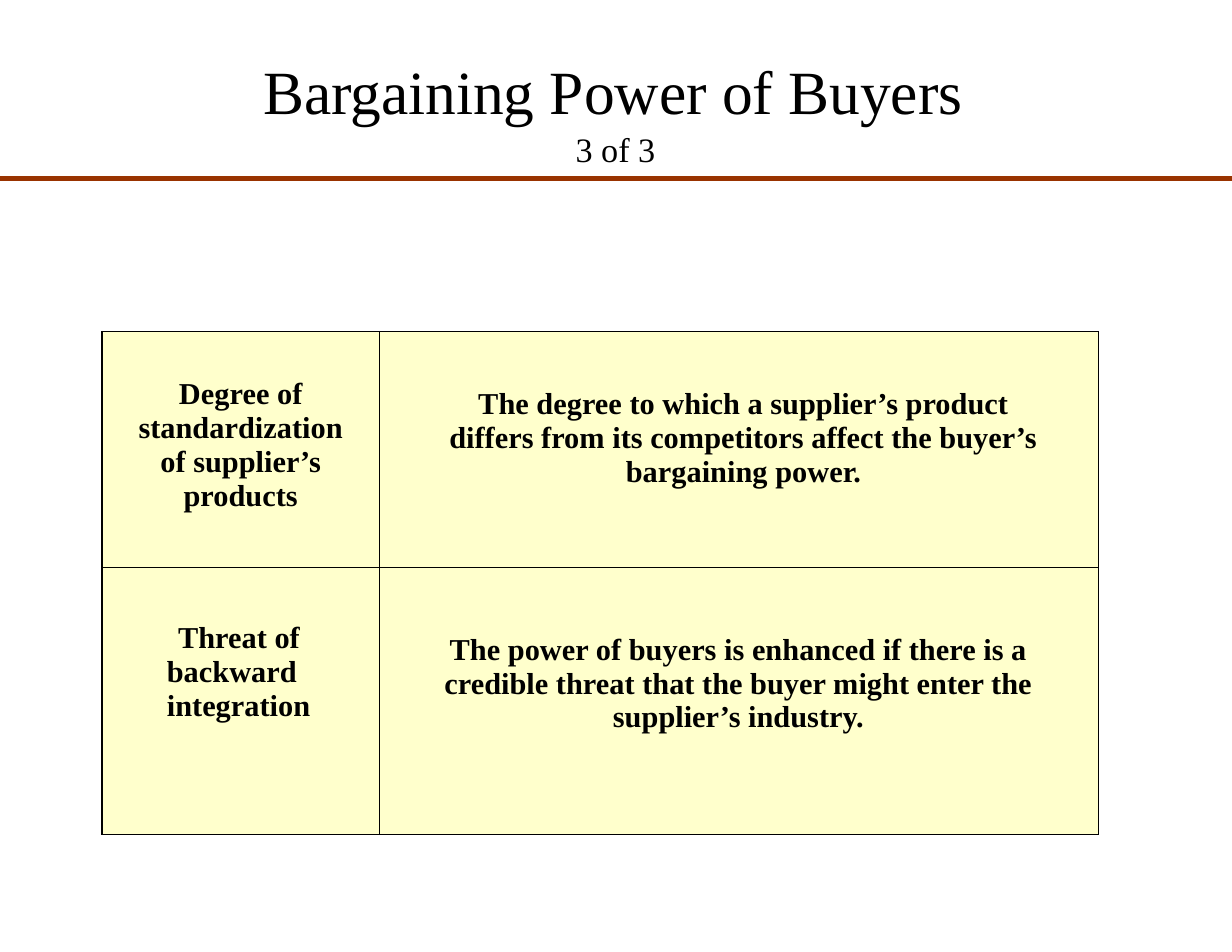
from pptx import Presentation
from pptx.dml.color import RGBColor
from pptx.enum.shapes import MSO_CONNECTOR
from pptx.enum.text import MSO_ANCHOR, PP_ALIGN
from pptx.oxml.ns import qn
from pptx.util import Inches, Pt
from lxml import etree

LEFT, CENTER = PP_ALIGN.LEFT, PP_ALIGN.CENTER
TOP = MSO_ANCHOR.TOP
STRAIGHT = MSO_CONNECTOR.STRAIGHT

THEME = {
    "font": "Times New Roman",
    "text": RGBColor(0, 0, 0),
    "rule": RGBColor(0x99, 0x33, 0x00),
    "cell": RGBColor(0xFF, 0xFF, 0xCC),
    "border": "000000",
    "title": 39.5,
    "counter": 22,
    "body": 19.5,
}

TITLE = "Bargaining Power of Buyers"
COUNTER = "3 of 3"
COLUMNS = [2.48, 6.42]
ROWS = [2.11, 2.38]
CELLS = [
    [
        {"text": "Degree of\vstandardization\vof supplier’s\vproducts",
         "align": CENTER, "margins": (0.28, 0.41, 0.28)},
        {"text": "The degree to which a supplier’s product\v"
                 "differs from its competitors affect the buyer’s\vbargaining power.",
         "align": CENTER, "margins": (0.53, 0.5, 0.45)},
    ],
    [
        {"text": "Threat of\vbackward\vintegration",
         "align": LEFT, "margins": (0.58, 0.48, 0), "indent": 0.1},
        {"text": "The power of buyers is enhanced if there is a\v"
                 "credible threat that the buyer might enter the\vsupplier’s industry.",
         "align": CENTER, "margins": (0.49, 0.58, 0.5)},
    ],
]


def write(tf, text, size, align, bold=False):
    """Put one styled paragraph into a text frame and return it."""
    tf.text = text
    p = tf.paragraphs[0]
    p.alignment = align
    for r in p.runs:
        r.font.name, r.font.size, r.font.bold = THEME["font"], Pt(size), bold
        r.font.color.rgb = THEME["text"]
    return p


def place(sp, left, top, width, height, inset):
    """Position a text shape and clear its side margins."""
    sp.left, sp.top, sp.width, sp.height = map(Inches, (left, top, width, height))
    tf = sp.text_frame
    tf.margin_left = tf.margin_right = tf.margin_bottom = 0
    tf.margin_top = Inches(inset)
    tf.vertical_anchor = TOP
    return tf


def add_borders(cell):
    """Draw a one-point line on every side of a cell."""
    tc_pr = cell._tc.get_or_add_tcPr()
    for side in ("a:lnL", "a:lnR", "a:lnT", "a:lnB"):
        ln = etree.SubElement(tc_pr, qn(side), w=str(Pt(1)))
        fill = etree.SubElement(ln, qn("a:solidFill"))
        etree.SubElement(fill, qn("a:srgbClr"), val=THEME["border"])


def fill_cell(cell, item):
    """Format a table cell and write its text."""
    add_borders(cell)
    cell.fill.solid()
    cell.fill.fore_color.rgb = THEME["cell"]
    cell.margin_left, cell.margin_top, cell.margin_right = map(Inches, item["margins"])
    cell.margin_bottom = 0
    cell.vertical_anchor = TOP
    p = write(cell.text_frame, item["text"], THEME["body"], item["align"], bold=True)
    p.line_spacing = 1.01
    if "indent" in item:
        p._p.get_or_add_pPr().set("indent", str(Inches(item["indent"])))


def main():
    """Build the slide and save it."""
    prs = Presentation()
    prs.slide_width, prs.slide_height = Inches(11), Inches(8.5)
    s = prs.slides.add_slide(prs.slide_layouts[5])

    tf = place(s.shapes.title, 2.35, 0.45, 6.31, 0.69, 0.02)
    tf.word_wrap = False
    write(tf, TITLE, THEME["title"], LEFT)

    rule = s.shapes.add_connector(STRAIGHT, 0, Inches(1.59), prs.slide_width, Inches(1.59))
    rule.line.color.rgb = THEME["rule"]
    rule.line.width = Pt(3.25)
    etree.SubElement(rule._element.spPr, qn("a:effectLst"))

    tf = place(s.shapes.add_textbox(0, 0, 0, 0), 1.27, 1.12, 8.45, 0.43, 0.03)
    tf.word_wrap = True
    write(tf, COUNTER, THEME["counter"], CENTER)

    table = s.shapes.add_table(
        len(ROWS), len(COLUMNS), Inches(0.91), Inches(2.96),
        Inches(sum(COLUMNS)), Inches(sum(ROWS))).table
    table.first_row = table.horz_banding = False
    for column, width in zip(table.columns, COLUMNS):
        column.width = Inches(width)
    for row, height, items in zip(table.rows, ROWS, CELLS):
        row.height = Inches(height)
        for cell, item in zip(row.cells, items):
            fill_cell(cell, item)

    prs.save("out.pptx")


if __name__ == "__main__":
    main()
